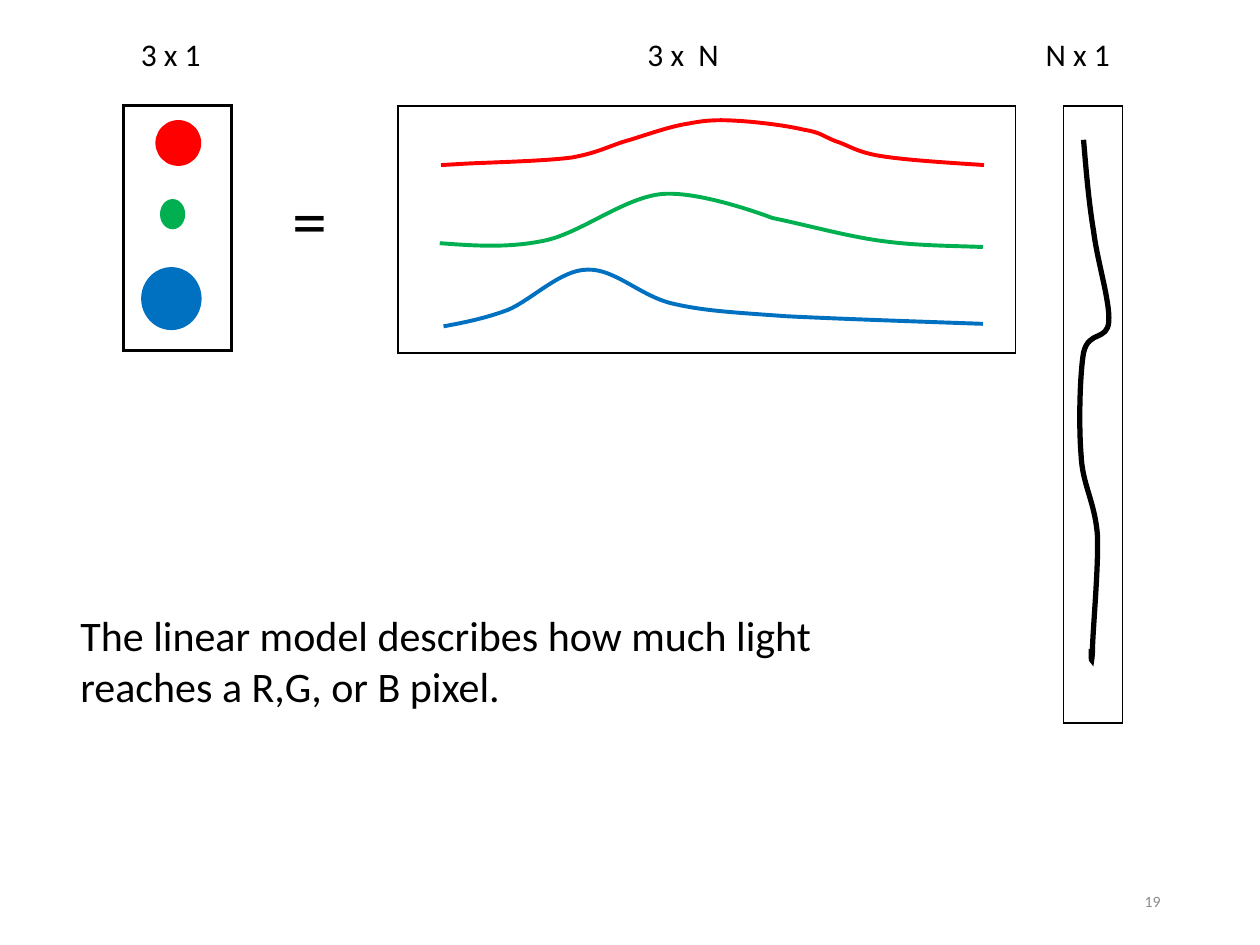
from pptx import Presentation
from pptx.dml.color import RGBColor
from pptx.enum.shapes import MSO_SHAPE
from pptx.enum.text import MSO_ANCHOR, PP_ALIGN
from pptx.oxml.ns import qn
from pptx.util import Inches, Pt
from lxml import etree

RECTANGLE, OVAL = MSO_SHAPE.RECTANGLE, MSO_SHAPE.OVAL
LEFT, RIGHT = PP_ALIGN.LEFT, PP_ALIGN.RIGHT
TOP, MIDDLE = MSO_ANCHOR.TOP, MSO_ANCHOR.MIDDLE

BLACK = RGBColor(0x00, 0x00, 0x00)
GRAY = RGBColor(0x8C, 0x8C, 0x8C)
RED = RGBColor(0xFF, 0x00, 0x00)
GREEN = RGBColor(0x00, 0xB0, 0x50)
BLUE = RGBColor(0x00, 0x70, 0xC0)

MATRIX_TOP = 0.84

RED_RESPONSE = [
    (3.5, 1.31), (3.5, 1.31), (3.51, 1.31), (3.68, 1.3),
    (3.85, 1.29), (4.32, 1.28), (4.54, 1.25),
    (4.76, 1.21), (4.85, 1.15), (5, 1.11),
    (5.16, 1.06), (5.33, 1), (5.47, 0.98),
    (5.62, 0.95), (5.72, 0.95), (5.87, 0.96),
    (6.03, 0.97), (6.26, 1), (6.38, 1.03),
    (6.51, 1.05), (6.53, 1.08), (6.63, 1.12),
    (6.73, 1.15), (6.8, 1.21), (7, 1.24),
    (7.19, 1.27), (7.5, 1.29), (7.81, 1.31),
]
GREEN_RESPONSE = [
    (3.49, 1.93), (3.76, 1.95), (4.03, 1.97), (4.32, 1.91),
    (4.61, 1.85), (4.95, 1.57), (5.25, 1.54),
    (5.56, 1.51), (6.13, 1.73), (6.13, 1.73),
    (6.42, 1.79), (6.7, 1.87), (6.98, 1.91),
    (7.26, 1.95), (7.53, 1.95), (7.8, 1.96),
]
BLUE_RESPONSE = [
    (3.52, 2.59), (3.68, 2.56), (3.84, 2.53), (4.03, 2.46),
    (4.22, 2.38), (4.45, 2.14), (4.66, 2.14),
    (4.88, 2.13), (5.08, 2.35), (5.34, 2.41),
    (5.6, 2.47), (5.84, 2.48), (6.24, 2.51),
    (6.65, 2.53), (7.23, 2.55), (7.8, 2.57),
]
LIGHT_SPECTRUM = [
    (8.6, 1.11), (8.62, 1.35), (8.64, 1.6), (8.68, 1.84),
    (8.71, 2.08), (8.81, 2.39), (8.8, 2.55),
    (8.79, 2.71), (8.64, 2.62), (8.6, 2.8),
    (8.57, 2.97), (8.56, 3.37), (8.58, 3.61),
    (8.59, 3.85), (8.69, 3.98), (8.71, 4.25),
    (8.72, 4.51), (8.67, 5.03), (8.67, 5.18),
    (8.66, 5.33), (8.66, 5.15), (8.66, 5.15),
]


def draw_outline(shape, color, width):
    shape.shadow.inherit = False
    shape.line.color.rgb = color
    shape.line.width = Pt(width)
    line = shape._element.spPr.find(qn("a:ln"))
    etree.SubElement(line, qn("a:miter"), lim="800000")


def add_curve(slide, controls, color, width):
    points = [(Inches(x), Inches(y)) for x, y in controls]
    builder = slide.shapes.build_freeform(*points[0])
    builder.add_line_segments(points[3::3], close=False)
    curve = builder.convert_to_shape()
    segments = list(curve._element.iter(qn("a:lnTo")))
    for index, segment in enumerate(segments):
        bezier = etree.Element(qn("a:cubicBezTo"))
        for x, y in points[3 * index + 1:3 * index + 4]:
            etree.SubElement(bezier, qn("a:pt"),
                             x=str(x - curve.left), y=str(y - curve.top))
        segment.getparent().replace(segment, bezier)
    curve.fill.background()
    draw_outline(curve, color, width)


def add_matrix(slide, left, width, height, line_width):
    matrix = slide.shapes.add_shape(
        RECTANGLE, Inches(left), Inches(MATRIX_TOP), Inches(width), Inches(height))
    matrix.fill.background()
    draw_outline(matrix, BLACK, line_width)


def add_pixel(slide, left, top, width, height, color, outlined=False):
    pixel = slide.shapes.add_shape(
        OVAL, Inches(left), Inches(top), Inches(width), Inches(height))
    pixel.shadow.inherit = False
    pixel.fill.solid()
    pixel.fill.fore_color.rgb = color
    if outlined:
        draw_outline(pixel, color, 1)
    else:
        pixel.line.fill.background()


def add_text(slide, left, top, width, height, text, size,
             color=BLACK, align=LEFT, anchor=TOP, tabs=()):
    box = slide.shapes.add_textbox(
        Inches(left), Inches(top), Inches(width), Inches(height))
    frame = box.text_frame
    frame.word_wrap = True
    frame.vertical_anchor = anchor
    paragraph = frame.paragraphs[0]
    paragraph.alignment = align
    if tabs:
        tab_list = etree.SubElement(paragraph._p.get_or_add_pPr(), qn("a:tabLst"))
        for position in tabs:
            etree.SubElement(tab_list, qn("a:tab"), pos=str(Inches(position)), algn="l")
    run = paragraph.add_run()
    run.text = text
    run.font.name = "Calibri"
    run.font.size = Pt(size)
    run.font.color.rgb = color


def main():
    presentation = Presentation()
    presentation.slide_width = Inches(10)
    presentation.slide_height = Inches(7.5)
    slide = presentation.slides.add_slide(presentation.slide_layouts[6])

    add_text(slide, 7.06, 6.95, 2.25, 0.4, "19", 9, GRAY, RIGHT, MIDDLE)

    add_matrix(slide, 3.16, 4.9, 1.96, 1)
    add_matrix(slide, 8.44, 0.47, 4.9, 1)
    add_curve(slide, RED_RESPONSE, RED, 2.25)
    add_curve(slide, GREEN_RESPONSE, GREEN, 2.25)
    add_curve(slide, BLUE_RESPONSE, BLUE, 2.25)
    add_curve(slide, LIGHT_SPECTRUM, BLACK, 3)

    add_matrix(slide, 0.98, 0.86, 1.94, 1.5)
    add_pixel(slide, 1.24, 0.96, 0.35, 0.35, RED, outlined=True)
    add_pixel(slide, 1.27, 1.58, 0.2, 0.24, GREEN)
    add_pixel(slide, 1.12, 2.12, 0.48, 0.5, BLUE)

    add_text(slide, 2.22, 1.35, 0.48, 0.77, "=", 40)
    add_text(slide, 1.02, 0.23, 8.08, 0.4, "3 x 1\t3 x  N\tN x 1", 18, tabs=(4.02, 7.18))
    add_text(slide, 0.54, 4.79, 6.74, 0.91,
             "The linear model describes how much light reaches a R,G, or B pixel.", 24)

    presentation.save("out.pptx")


if __name__ == "__main__":
    main()
